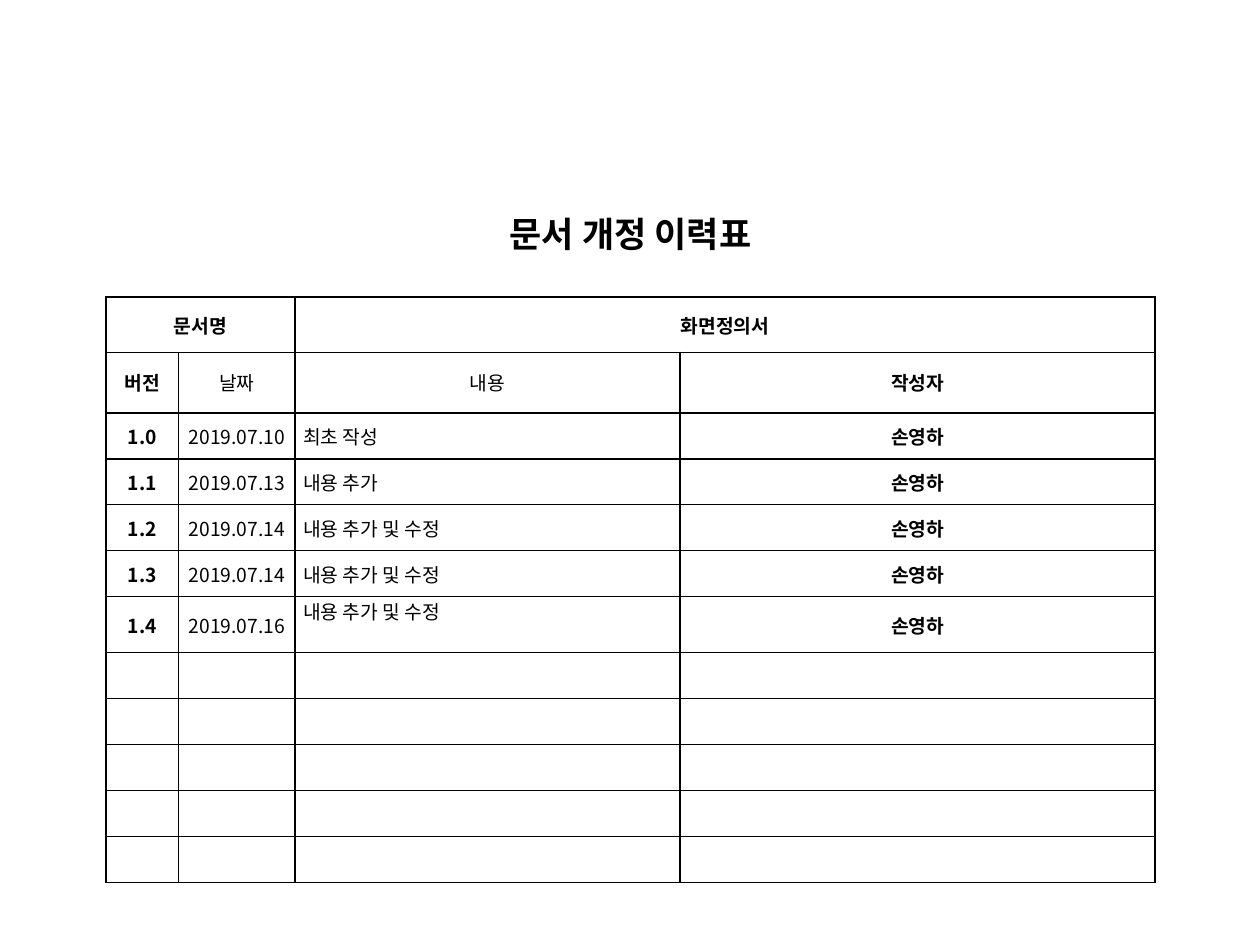
from dataclasses import dataclass

from lxml import etree
from pptx import Presentation
from pptx.dml.color import RGBColor
from pptx.enum import text as t
from pptx.oxml import ns
from pptx.util import Pt


@dataclass(frozen=True)
class Theme:
    font: str = "Noto Sans CJK KR"
    ink: str = "000000"
    paper: str = "FFFFFF"
    head: float = 20
    body: float = 11
    thin: float = 0.5
    thick: float = 1


@dataclass(frozen=True)
class Entry:
    ver: str
    date: str
    note: str
    who: str = "손영하"


LOOK = Theme()
LEFT, TOP = 60.6, 66.2
COLS = [41.5, 66.6, 220, 271.4]
STEP = 26.28
LOG = [
    Entry("1.0", "2019.07.10", "최초 작성"),
    Entry("1.1", "2019.07.13", "내용 추가"),
    Entry("1.2", "2019.07.14", "내용 추가 및 수정"),
    Entry("1.3", "2019.07.14", "내용 추가 및 수정"),
    Entry("1.4", "2019.07.16", "내용 추가 및 수정"),
]
SPARE = 5
FIRST = 3  # first log row
LAST = FIRST + len(LOG) - 1
ROWS = [103.5, 31.5, 34.8] + [STEP] * (len(LOG) - 1) + [32] + [STEP] * SPARE
# Grid lines drawn thick, counted from the left and from the top
THICK_X = {0, 2, 3, 4}
THICK_Y = {1, 3, 4, len(ROWS)}


def edge(cell, side: str, wide: bool, color: str) -> None:
    """Draw one border of a cell."""
    width = Pt(LOOK.thick if wide else LOOK.thin)
    line = etree.SubElement(cell._tc.get_or_add_tcPr(), ns.qn(f"a:ln{side}"), w=str(width))
    fill = etree.SubElement(line, ns.qn("a:solidFill"))
    etree.SubElement(fill, ns.qn("a:srgbClr"), val=color)


def frame(cell, row: int, col: int) -> None:
    """Set borders, fill and margins of a cell."""
    side = LOOK.ink if row else LOOK.paper
    edge(cell, "L", col in THICK_X, side)
    edge(cell, "R", col + 1 in THICK_X, side)
    edge(cell, "T", row in THICK_Y, side)
    edge(cell, "B", row + 1 in THICK_Y, LOOK.ink)
    cell.fill.background()
    cell.margin_left = cell.margin_right = Pt(4.5)
    cell.margin_top = cell.margin_bottom = 0
    cell.vertical_anchor = t.MSO_ANCHOR.MIDDLE
    # Keep empty cells from stretching their row
    para = cell.text_frame.paragraphs[0]
    etree.SubElement(para._p, ns.qn("a:endParaRPr"), sz=str(int(LOOK.body * 100)))


def write(cell, words: str, bold: bool = True, size: float = LOOK.body,
          align=t.PP_ALIGN.CENTER) -> None:
    """Fill a cell with one styled line."""
    para = cell.text_frame.paragraphs[0]
    para.text = words
    para.alignment = align
    font = para.runs[0].font
    font.name, font.size, font.bold = LOOK.font, Pt(size), bold
    font.color.rgb = RGBColor.from_string(LOOK.ink)
    etree.SubElement(font._element, ns.qn("a:ea"), typeface=LOOK.font)


def main() -> None:
    deck = Presentation()
    deck.slide_width, deck.slide_height = Pt(720), Pt(540)
    slide = deck.slides.add_slide(deck.slide_layouts[6])

    # Empty grid
    grid = slide.shapes.add_table(len(ROWS), len(COLS), Pt(LEFT), Pt(TOP),
                                  Pt(sum(COLS)), Pt(sum(ROWS))).table
    grid.first_row = grid.horz_banding = False
    for col, width in zip(grid.columns, COLS):
        col.width = Pt(width)
    for row, height in zip(grid.rows, ROWS):
        row.height = Pt(height)
    for row in range(len(ROWS)):
        for col in range(len(COLS)):
            frame(grid.cell(row, col), row, col)

    # Title row, set below the middle
    grid.cell(0, 0).merge(grid.cell(0, 3))
    grid.cell(0, 0).margin_top = Pt(30)
    write(grid.cell(0, 0), "문서 개정 이력표", size=LOOK.head)

    # Document name and column heads
    for col, words in ((0, "문서명"), (2, "화면정의서")):
        grid.cell(1, col).merge(grid.cell(1, col + 1))
        write(grid.cell(1, col), words)
    for col, words in enumerate(("버전", "날짜", "내용", "작성자")):
        write(grid.cell(2, col), words, bold=col in (0, 3))

    # Log entries
    for row, item in enumerate(LOG, FIRST):
        write(grid.cell(row, 0), item.ver)
        write(grid.cell(row, 1), item.date, bold=False)
        write(grid.cell(row, 2), item.note, bold=False, align=t.PP_ALIGN.JUSTIFY)
        write(grid.cell(row, 3), item.who)
    grid.cell(LAST, 2).margin_bottom = Pt(16)

    deck.save("out.pptx")


if __name__ == "__main__":
    main()
